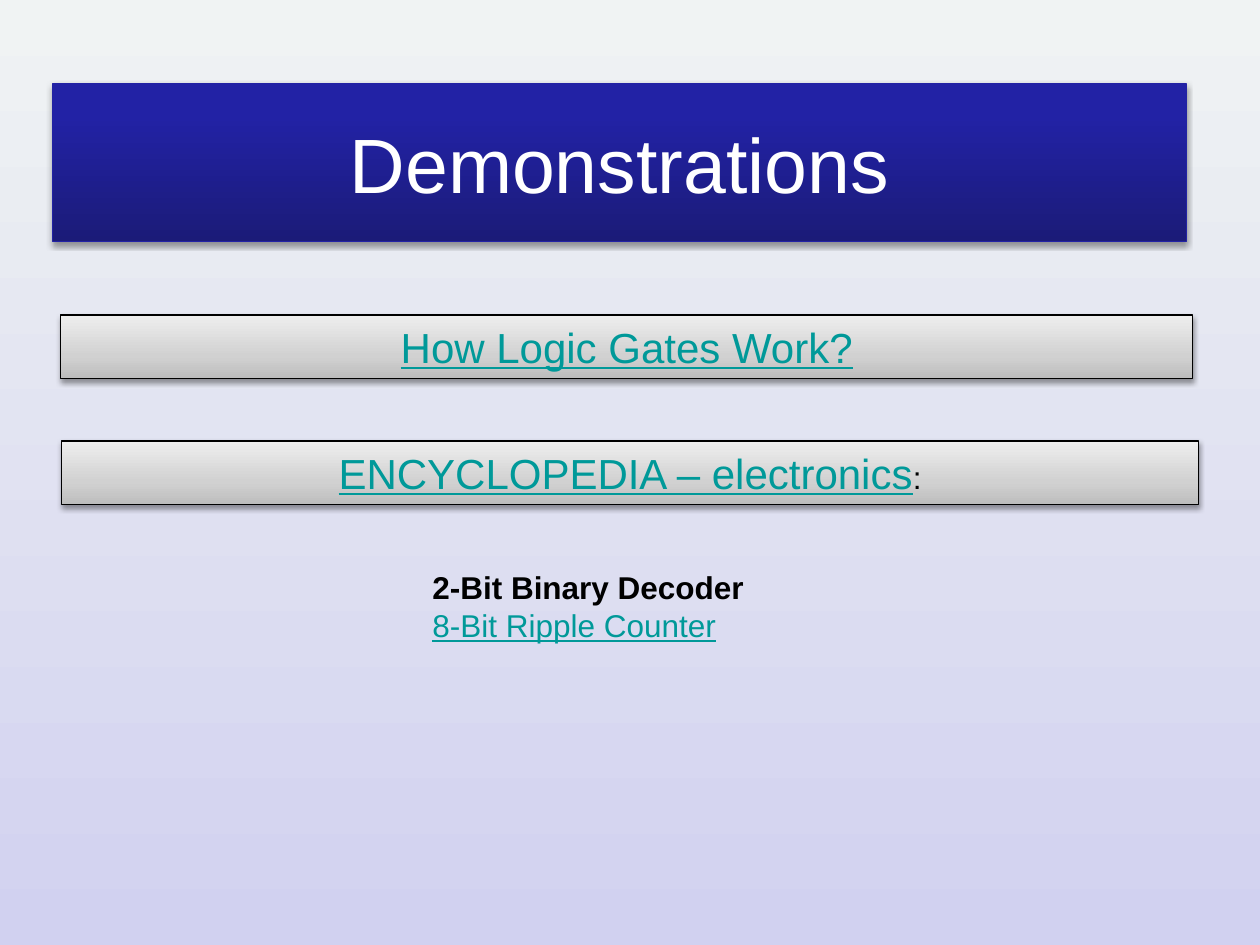
import copy

import lxml.etree
import pptx
import pptx.dml.color
import pptx.enum.shapes
import pptx.enum.text
import pptx.oxml.ns
import pptx.util

Pt = pptx.util.Pt
RGBColor = pptx.dml.color.RGBColor
CENTER = pptx.enum.text.PP_ALIGN.CENTER
MIDDLE = pptx.enum.text.MSO_ANCHOR.MIDDLE

BLACK = RGBColor(0x00, 0x00, 0x00)
WHITE = RGBColor(0xFF, 0xFF, 0xFF)
TEAL = RGBColor(0x00, 0x99, 0x99)
BLUE = RGBColor(0x22, 0x22, 0xA5)
NAVY = RGBColor(0x1B, 0x1B, 0x78)
MIST = RGBColor(0xF0, 0xF3, 0xF3)
LAVENDER = RGBColor(0xD1, 0xD1, 0xF0)
LIGHT_GREY = RGBColor(0xEE, 0xEE, 0xEE)
MID_GREY = RGBColor(0xD1, 0xD1, 0xD1)
DARK_GREY = RGBColor(0xBD, 0xBD, 0xBD)


def set_gradient(fill, stops):
    fill.gradient()
    fill.gradient_angle = 270
    last_stop = fill.gradient_stops[-1]._gs
    for _ in stops[2:]:
        last_stop.addnext(copy.deepcopy(last_stop))
    for stop, (position, color) in zip(fill.gradient_stops, stops):
        stop.position = position
        stop.color.rgb = color


def add_shadow(shape):
    shape.shadow.inherit = False
    qn = pptx.oxml.ns.qn
    effects = shape._element.spPr.find(qn("a:effectLst"))
    shadow = lxml.etree.SubElement(
        effects, qn("a:outerShdw"), blurRad=str(Pt(3.1)), dist=str(Pt(1.6)),
        dir="5400000", rotWithShape="0")
    color = lxml.etree.SubElement(shadow, qn("a:srgbClr"), val=str(BLACK))
    lxml.etree.SubElement(color, qn("a:alpha"), val="38000")


def add_run(paragraph, text, size, color, bold=False, underline=False):
    run = paragraph.add_run()
    run.text = text
    run.font.name = "Arial"
    run.font.size = Pt(size)
    run.font.color.rgb = color
    run.font.bold = bold
    run.font.underline = underline


def style_panel(shape, stops, line_color):
    set_gradient(shape.fill, stops)
    shape.line.color.rgb = line_color
    shape.line.width = Pt(0.75)
    add_shadow(shape)
    shape.text_frame.vertical_anchor = MIDDLE
    paragraph = shape.text_frame.paragraphs[0]
    paragraph.alignment = CENTER
    return paragraph


def place_title(slide, left, top, width, height):
    title = slide.shapes.title
    title.left, title.top = Pt(left), Pt(top)
    title.width, title.height = Pt(width), Pt(height)
    paragraph = style_panel(title, [(0, BLUE), (0.2, BLUE), (1, NAVY)], BLUE)
    add_run(paragraph, "Demonstrations", 44, WHITE)


def add_link_bar(slide, left, top, width, height, text, suffix):
    bar = slide.shapes.add_shape(
        pptx.enum.shapes.MSO_SHAPE.RECTANGLE,
        Pt(left), Pt(top), Pt(width), Pt(height))
    stops = [(0, LIGHT_GREY), (0.65, MID_GREY), (1, DARK_GREY)]
    paragraph = style_panel(bar, stops, BLACK)
    add_run(paragraph, text, 24, TEAL, underline=True)
    if suffix:
        add_run(paragraph, suffix, 18, BLACK)


def add_circuit_list(slide, left, top, width, height):
    box = slide.shapes.add_textbox(Pt(left), Pt(top), Pt(width), Pt(height))
    frame = box.text_frame
    frame.word_wrap = False
    add_run(frame.paragraphs[0], "2-Bit Binary Decoder", 18, BLACK, bold=True)
    add_run(frame.add_paragraph(), "8-Bit Ripple Counter", 18, TEAL, underline=True)


presentation = pptx.Presentation()
presentation.slide_width = Pt(720)
presentation.slide_height = Pt(540)
slide = presentation.slides.add_slide(presentation.slide_layouts[5])
set_gradient(slide.background.fill, [(0, MIST), (1, LAVENDER)])

place_title(slide, 30, 48, 648, 90)
add_link_bar(slide, 34.75, 180, 646.75, 36.35, "How Logic Gates Work?", "")
add_link_bar(slide, 35.25, 252, 649.5, 36.35, "ENCYCLOPEDIA – electronics", ":")
add_circuit_list(slide, 240, 321, 194, 51)

presentation.save("out.pptx")
